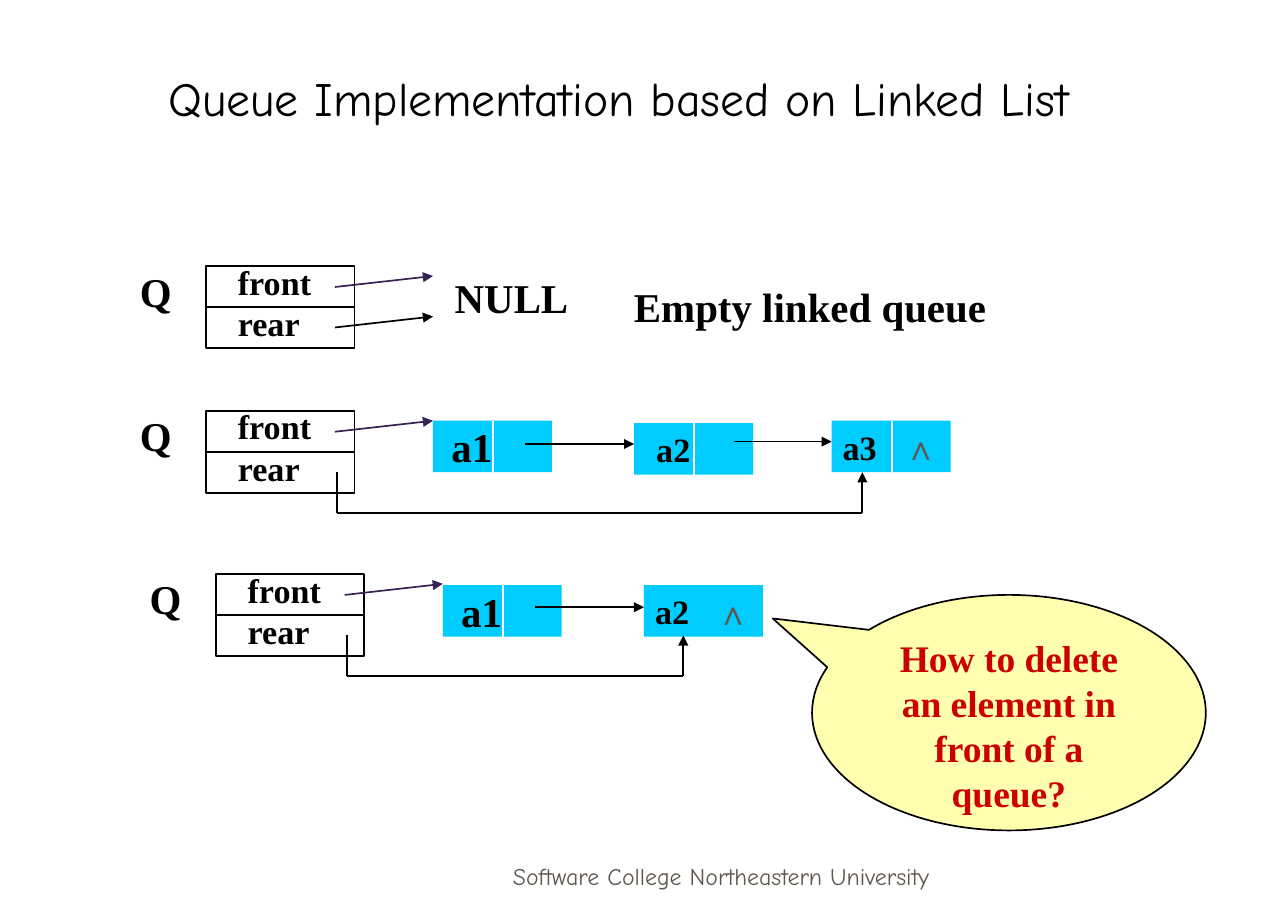
"""Build a slide on queues kept as linked lists."""
from dataclasses import dataclass

import lxml.etree
import pptx
import pptx.dml.color
import pptx.enum.shapes
import pptx.enum.text
import pptx.oxml.ns
import pptx.util

Inches = pptx.util.Inches
Align = pptx.enum.text.PP_ALIGN
Anchor = pptx.enum.text.MSO_ANCHOR
Kind = pptx.enum.shapes.MSO_SHAPE
SERIF, ROUND = "Times New Roman", "Comic Neue"
BLACK, WHITE, GREY, PURPLE = "000000", "FFFFFF", "5E574E", "362255"
BLUE, CREAM, RED = "00CCFF", "FFFFAF", "CC0000"
WIDE, HIGH, HALF = 0.97, 0.42, 0.49
HEAD_W, HEAD_H = 1.21, 0.67


@dataclass
class Node:
    name: str
    left: float
    top: float
    pad: float
    size: int = 20
    split: bool = True
    last: bool = False


@dataclass
class Queue:
    left: float
    top: float
    nodes: list[Node]
    links: list[float]
    drop: float = 0


QUEUES = [
    Queue(1.68, 2.17, [], []),
    Queue(1.68, 3.35, [
        Node("a1", 3.53, 3.43, 0.15, 24),
        Node("a2", 5.17, 3.45, 0.18),
        Node("a3", 6.78, 3.43, 0.09, last=True),
    ], [3.62, 3.6], 7.03),
    Queue(1.76, 4.68, [
        Node("a1", 3.61, 4.77, 0.15, 24),
        Node("a2", 5.25, 4.77, 0.09, split=False, last=True),
    ], [4.95], 5.57),
]


def rgb(code: str) -> pptx.dml.color.RGBColor:
    return pptx.dml.color.RGBColor.from_string(code)


def write(shape, text: str, size: int, color: str = BLACK, font: str = SERIF,
          align=Align.LEFT, anchor=Anchor.TOP, wrap: bool = True) -> None:
    frame = shape.text_frame
    frame.word_wrap = wrap
    frame.auto_size = pptx.enum.text.MSO_AUTO_SIZE.NONE
    frame.vertical_anchor = anchor
    frame.text = text
    par = frame.paragraphs[0]
    par.alignment = align
    par.font.name = font
    par.font.size = pptx.util.Pt(size)
    par.font.bold = font == SERIF
    par.font.color.rgb = rgb(color)


def label(slide, left: float, top: float, width: float, height: float,
          text: str, size: int, **style) -> None:
    box = slide.shapes.add_textbox(*map(Inches, (left, top, width, height)))
    write(box, text, size, **style)


def block(slide, kind, left: float, top: float, width: float, height: float,
          fill: str = "", edge: str = ""):
    shape = slide.shapes.add_shape(kind, *map(Inches, (left, top, width, height)))
    shape.shadow.inherit = False
    if fill:
        shape.fill.solid()
        shape.fill.fore_color.rgb = rgb(fill)
    else:
        shape.fill.background()
    if edge:
        shape.line.color.rgb = rgb(edge)
        shape.line.width = pptx.util.Pt(1)
    else:
        shape.line.fill.background()
    return shape


def line(slide, x1: float, y1: float, x2: float, y2: float,
         color: str = BLACK, arrow: bool = False) -> None:
    straight = pptx.enum.shapes.MSO_CONNECTOR.STRAIGHT
    link = slide.shapes.add_connector(straight, *map(Inches, (x1, y1, x2, y2)))
    link.line.color.rgb = rgb(color)
    link.line.width = pptx.util.Pt(1)
    qn = pptx.oxml.ns.qn
    props = link._element.spPr
    if arrow:
        lxml.etree.SubElement(props.find(qn("a:ln")), qn("a:tailEnd"), type="triangle")
    lxml.etree.SubElement(props, qn("a:effectLst"))


def draw_node(slide, node: Node) -> None:
    cell = block(slide, Kind.RECTANGLE, node.left, node.top, WIDE, HIGH, BLUE)
    write(cell, node.name, node.size, anchor=Anchor.MIDDLE, wrap=False)
    cell.text_frame.margin_left = Inches(node.pad)
    mid = node.left + HALF
    if node.split:
        line(slide, mid, node.top, mid, node.top + HIGH, WHITE)
    if node.last:
        label(slide, mid, node.top, 0.4, 0.44, "∧", 20, color=GREY)


def draw_queue(slide, queue: Queue) -> None:
    x, y = queue.left, queue.top
    block(slide, Kind.RECTANGLE, x, y, HEAD_W, HEAD_H, edge=BLACK)
    line(slide, x, y + HEAD_H / 2, x + HEAD_W, y + HEAD_H / 2)
    label(slide, x - 0.64, y - 0.05, 0.46, 0.5, "Q", 24,
          align=Align.CENTER, anchor=Anchor.MIDDLE, wrap=False)
    for row, name in enumerate(("front", "rear")):
        label(slide, x + 0.16, y - 0.09 + row * HEAD_H / 2, HEAD_W, 0.44, name, 20)
    line(slide, x + 1.05, y + 0.17, x + 1.85, y + 0.08, PURPLE, True)
    for node in queue.nodes:
        draw_node(slide, node)
    for node, goal, level in zip(queue.nodes, queue.nodes[1:], queue.links):
        start = node.left + (0.75 if node.size == 24 else 0.81)
        line(slide, start, level, goal.left, level, arrow=True)
    if queue.drop:
        stem, high, low = x + 1.07, y + 0.5, y + 0.83
        line(slide, stem, high, stem, low)
        line(slide, stem, low, queue.drop, low)
        line(slide, queue.drop, low, queue.drop, high, arrow=True)
    else:
        line(slide, x + 1.05, y + 0.5, x + 1.85, y + 0.41, arrow=True)


def main() -> None:
    deck = pptx.Presentation()
    deck.slide_width, deck.slide_height = Inches(10.5), Inches(7.5)
    slide = deck.slides.add_slide(deck.slide_layouts[5])
    title = slide.shapes.title
    title.left, title.top = Inches(0.58), Inches(0.25)
    title.width, title.height = Inches(8.93), Inches(0.83)
    write(title, "Queue Implementation based on Linked List", 28,
          font=ROUND, align=Align.CENTER, anchor=Anchor.BOTTOM)
    for queue in QUEUES:
        draw_queue(slide, queue)
    label(slide, 3.67, 2.17, 1, 0.5, "NULL", 24,
          align=Align.CENTER, anchor=Anchor.MIDDLE, wrap=False)
    label(slide, 5.07, 2.25, 3.43, 0.5, "Empty linked queue", 24)
    bubble = block(slide, Kind.OVAL_CALLOUT, 6.62, 4.85, 3.21, 1.92, CREAM, BLACK)
    bubble.adjustments[0], bubble.adjustments[1] = -0.6, -0.4
    write(bubble, "How to delete an element in front of a queue?", 22, RED,
          align=Align.CENTER)
    label(slide, 3.59, 6.81, 4.58, 0.5, "Software College Northeastern University",
          14, color=GREY, font=ROUND, align=Align.CENTER, anchor=Anchor.BOTTOM)
    deck.save("out.pptx")


if __name__ == "__main__":
    main()
